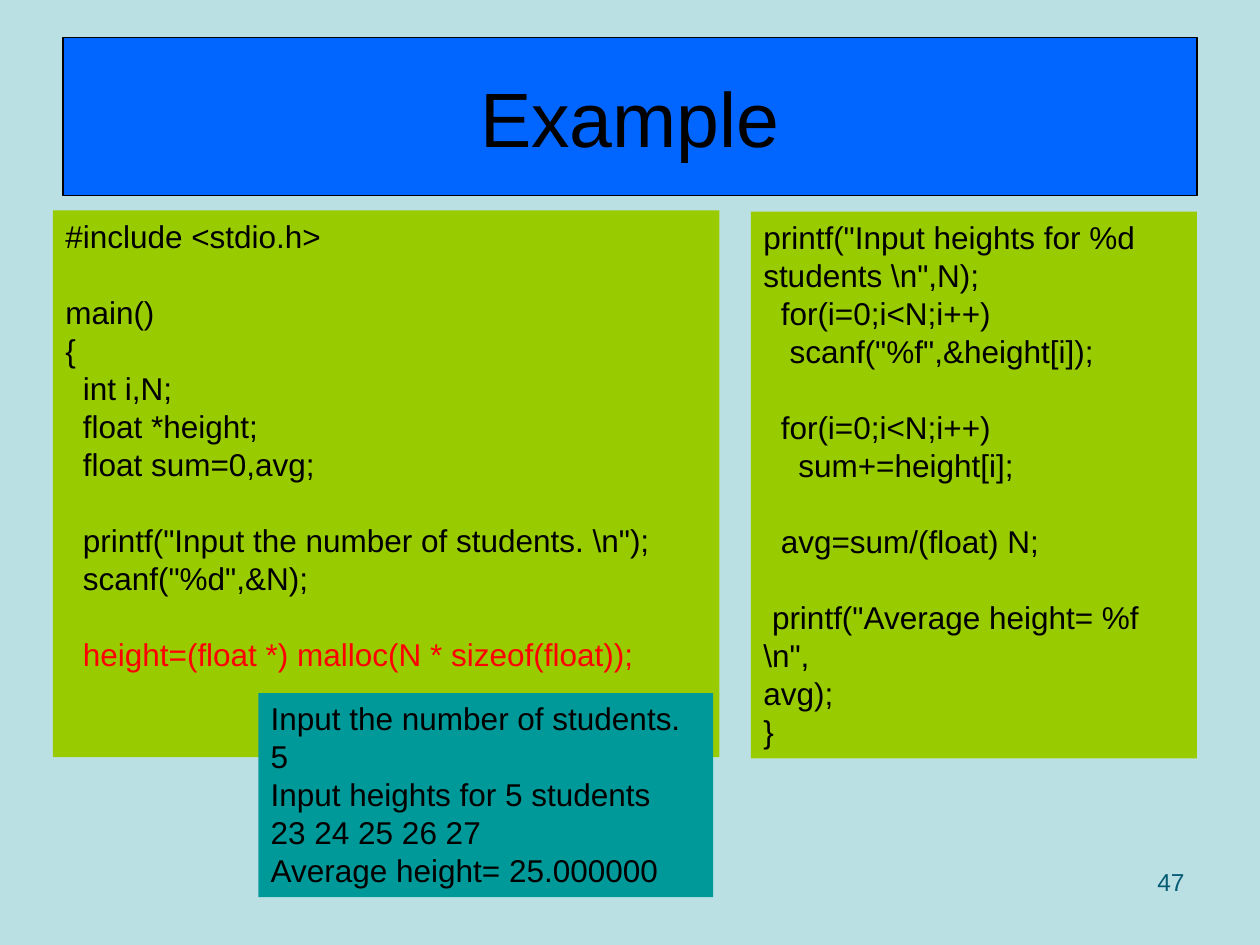
from dataclasses import dataclass

from pptx import Presentation
from pptx.dml.color import RGBColor as Color
from pptx.enum.shapes import MSO_SHAPE as Shape
from pptx.enum.text import MSO_ANCHOR as Anchor, PP_ALIGN as Align
from pptx.util import Inches, Pt


@dataclass(frozen=True)
class Theme:
    font: str = "Arial"
    background: str = "BBE0E3"
    banner: str = "0066FF"
    code: str = "99CC00"
    output: str = "009999"
    ink: str = "000000"
    highlight: str = "FF0000"
    number: str = "045C75"
    title_size: float = 44
    body_size: float = 18
    number_size: float = 14
    line_pitch: float = 21.7
    space_width: float = 5


DECLARATIONS = r"""#include <stdio.h>

main()
{
  int i,N;
  float *height;
  float sum=0,avg;

  printf("Input the number of students. \n");
  scanf("%d",&N);

  height=(float *) malloc(N * sizeof(float));"""

LOOPS = r"""printf("Input heights for %d
students \n",N);
  for(i=0;i<N;i++)
   scanf("%f",&height[i]);

  for(i=0;i<N;i++)
    sum+=height[i];

  avg=sum/(float) N;

 printf("Average height= %f \n",
avg);
}"""

SESSION = """Input the number of students.
5
Input heights for 5 students
23 24 25 26 27
Average height= 25.000000"""


class SlideBuilder:
    def __init__(self, deck, theme):
        self.theme = theme
        self.page = deck.slides.add_slide(deck.slide_layouts[5])
        self.paint(self.page.background, theme.background)

    def paint(self, item, color):
        item.fill.solid()
        item.fill.fore_color.rgb = Color.from_string(color)

    def format(self, para, size, color, align=Align.LEFT):
        para.alignment = align
        for span in para.runs:
            span.font.name = self.theme.font
            span.font.size = Pt(size)
            span.font.color.rgb = Color.from_string(color)

    def title(self, text, left, top, width, height):
        box = self.page.shapes.title
        box.left, box.top = Inches(left), Inches(top)
        box.width, box.height = Inches(width), Inches(height)
        self.paint(box, self.theme.banner)
        box.line.color.rgb = Color.from_string(self.theme.ink)
        box.line.width = Pt(0.75)
        box.text_frame.text = text
        box.text_frame.vertical_anchor = Anchor.MIDDLE
        self.format(box.text_frame.paragraphs[0], self.theme.title_size,
                    self.theme.ink, Align.CENTER)

    def panel(self, text, left, top, width, height, fill, highlight=None):
        box = self.page.shapes.add_shape(
            Shape.RECTANGLE, Inches(left), Inches(top), Inches(width), Inches(height))
        box.shadow.inherit = False
        self.paint(box, fill)
        box.line.fill.background()
        frame = box.text_frame
        frame.word_wrap = True
        frame.vertical_anchor = Anchor.TOP
        para, gap = frame.paragraphs[0], 0
        for number, line in enumerate(text.splitlines()):
            if not line:
                gap += self.theme.line_pitch
                continue
            if number:
                para = frame.add_paragraph()
            self.code_line(para, line, gap, highlight)
            gap = 0

    def code_line(self, para, line, gap, highlight):
        para.text = line.lstrip()
        para.line_spacing = Pt(self.theme.line_pitch)
        para.space_before = Pt(gap)
        indent = Pt((len(line) - len(para.text)) * self.theme.space_width)
        properties = para._p.get_or_add_pPr()
        properties.set("marL", "0")
        properties.set("indent", str(indent))
        marked = highlight and para.text.startswith(highlight)
        self.format(para, self.theme.body_size,
                    self.theme.highlight if marked else self.theme.ink)

    def page_number(self, text, left, top, width, height):
        box = self.page.shapes.add_textbox(
            Inches(left), Inches(top), Inches(width), Inches(height))
        box.text_frame.word_wrap = True
        box.text_frame.text = text
        self.format(box.text_frame.paragraphs[0], self.theme.number_size,
                    self.theme.number, Align.RIGHT)


def main():
    deck = Presentation()
    deck.slide_width, deck.slide_height = Inches(10), Inches(7.5)
    theme = Theme()
    builder = SlideBuilder(deck, theme)
    builder.page_number("47", 7.17, 6.83, 2.33, 0.52)
    builder.title("Example", 0.5, 0.3, 9, 1.25)
    builder.panel(LOOPS, 5.96, 1.68, 3.54, 4.34, theme.code)
    builder.panel(DECLARATIONS, 0.42, 1.67, 5.29, 4.34, theme.code, "height=")
    builder.panel(SESSION, 2.05, 5.5, 3.61, 1.62, theme.output)
    deck.save("out.pptx")


if __name__ == "__main__":
    main()
